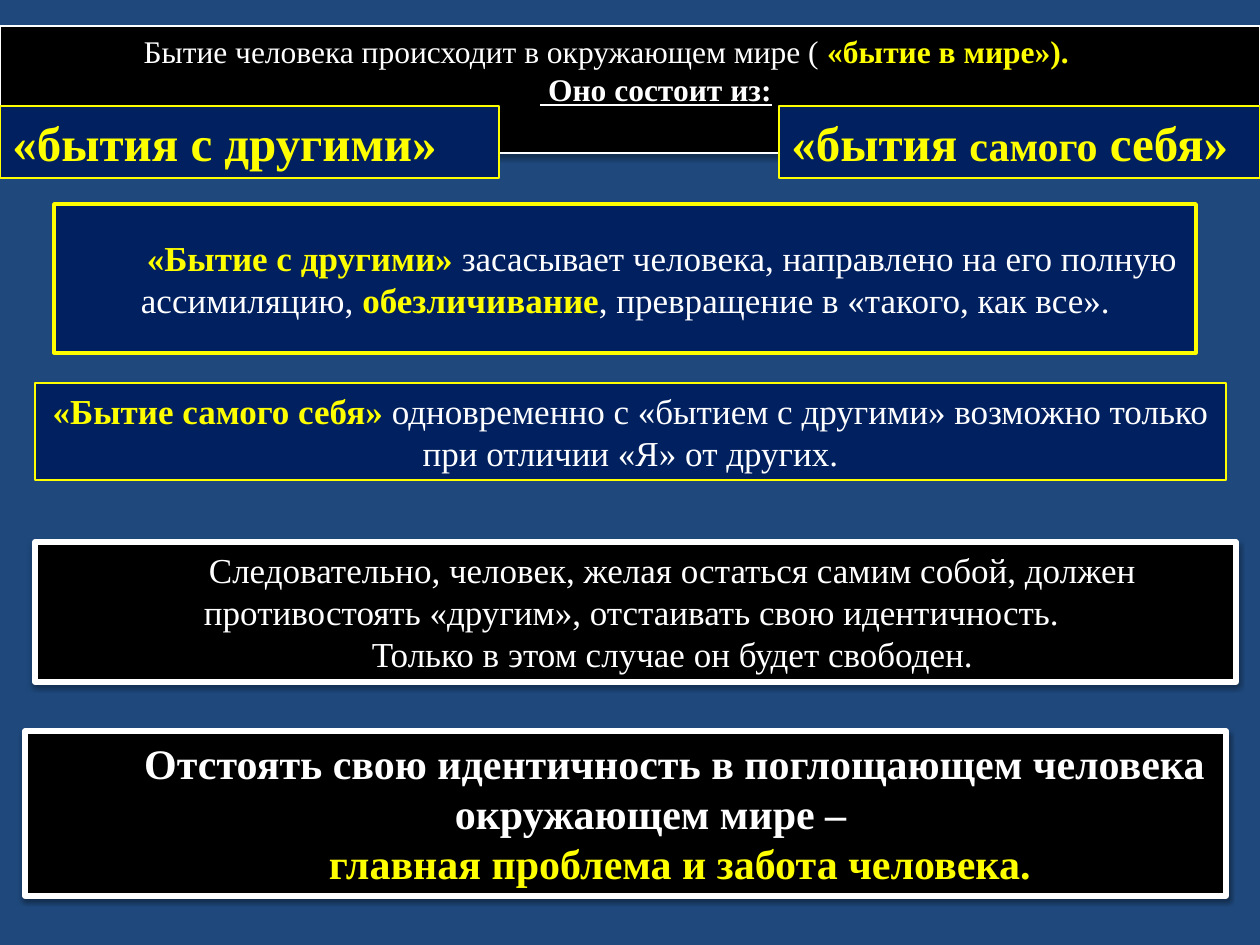
"""Build a slide about being in the world, with others and as oneself."""
from lxml import etree
from pptx import Presentation
from pptx.dml.color import RGBColor
from pptx.enum.shapes import MSO_SHAPE
from pptx.enum.text import MSO_ANCHOR, MSO_AUTO_SIZE, PP_ALIGN
from pptx.oxml.ns import qn
from pptx.util import Emu, Pt

RECTANGLE = MSO_SHAPE.RECTANGLE
TOP, MIDDLE = MSO_ANCHOR.TOP, MSO_ANCHOR.MIDDLE
LEFT, CENTER, JUSTIFY = PP_ALIGN.LEFT, PP_ALIGN.CENTER, PP_ALIGN.JUSTIFY
NO_FIT = MSO_AUTO_SIZE.NONE

EMU_PER_PX = 914400 / 126
WIDTH, HEIGHT = 1260, 945

THEME = {
    "font": "Times New Roman",
    "background": "1F497D", "black": "000000", "navy": "002060",
    "white": "FFFFFF", "yellow": "FFFF00",
    "lead": 18, "body": 20, "accent": 24, "heading": 28,
}

PLAIN = {"color": "white"}
STRONG = {"color": "white", "bold": True}
KEY = {"color": "yellow", "bold": True}
UNDERLINED = {**STRONG, "underline": True}

TITLE = {
    "box": (0, 26, 1260, 127), "fill": "black", "line": ("white", 0.75),
    "size": "lead", "shadow": (35, 3.1, 1.8),
    "paragraphs": [
        (JUSTIFY, 14, 117, [("Бытие человека происходит в окружающем мире ( ", PLAIN),
                            ("«бытие в мире»).", KEY)]),
        (CENTER, 14, 38, [(" Оно состоит из:", UNDERLINED)]),
    ],
}

BOXES = [
    {"box": (0, 106, 499, 72), "fill": "navy", "line": ("yellow", 0.75), "size": "heading",
     "paragraphs": [(LEFT, 0, 0, [("«бытия с другими»", KEY)])]},
    {"box": (779, 106, 481, 72), "fill": "navy", "line": ("yellow", 0.75), "size": "heading",
     "paragraphs": [(LEFT, 0, 0, [("«бытия ", KEY), ("самого", {**KEY, "size": "accent"}),
                                  (" себя»", KEY)])]},
    {"box": (54, 204, 1142, 149), "fill": "navy", "line": ("yellow", 2), "size": "body",
     "anchor": MIDDLE, "space_before": 4,
     "paragraphs": [(CENTER, 1, 73, [
         ("«Бытие с другими» ", KEY),
         ("засасывает человека, направлено на его полную ассимиляцию, ", PLAIN),
         ("обезличивание", KEY),
         (", превращение в «такого, как все».", PLAIN)])]},
    {"box": (35, 383, 1191, 97), "fill": "navy", "line": ("yellow", 0.75), "size": "body",
     "paragraphs": [(CENTER, 0, 0, [
         ("«Бытие самого себя» ", KEY),
         ("одновременно с «бытием с другими» возможно только "
          "при отличии «Я» от других.", PLAIN)])]},
    {"box": (35, 542, 1201, 140), "fill": "black", "line": ("white", 3), "size": "body",
     "shadow": (38, 3.1, 1.6),
     "paragraphs": [
         (CENTER, 1, 73, [("Следовательно, человек, желая остаться самим собой, должен "
                           "противостоять «другим», отстаивать свою идентичность. ", PLAIN)]),
         (CENTER, 1, 73, [("Только в этом случае он будет свободен.", PLAIN)])]},
    {"box": (25, 731, 1201, 165), "fill": "black", "line": ("white", 3), "size": "accent",
     "shadow": (38, 3.1, 1.6),
     "paragraphs": [
         (CENTER, 50, 48, [("Отстоять свою идентичность в поглощающем человека "
                            "окружающем мире –", STRONG)]),
         (CENTER, 50, 48, [(" главная проблема и забота человека.", KEY)])]},
]


def px(value):
    return Emu(round(value * EMU_PER_PX))


def color(name):
    return RGBColor.from_string(THEME[name])


def add_shadow(shape, opacity, blur, distance):
    effects = shape._element.spPr.find(qn("a:effectLst"))
    shadow = etree.SubElement(effects, qn("a:outerShdw"), blurRad=str(Pt(blur)),
                              dist=str(Pt(distance)), dir="5400000", rotWithShape="0")
    tint = etree.SubElement(shadow, qn("a:srgbClr"), val=THEME["black"])
    etree.SubElement(tint, qn("a:alpha"), val=str(opacity * 1000))


def add_run(paragraph, text, style, size):
    run = paragraph.add_run()
    run.text = text
    font = run.font
    font.name = THEME["font"]
    font.size = Pt(THEME[style.get("size", size)])
    font.color.rgb = color(style["color"])
    font.bold = style.get("bold", False)
    font.underline = style.get("underline", False)


def write_text(frame, content):
    frame.word_wrap = True
    frame.auto_size = NO_FIT
    frame.vertical_anchor = content.get("anchor", TOP)
    for index, (alignment, margin, indent, runs) in enumerate(content["paragraphs"]):
        paragraph = frame.add_paragraph() if index else frame.paragraphs[0]
        paragraph.alignment = alignment
        paragraph.space_before = Pt(content.get("space_before", 0))
        properties = paragraph._p.get_or_add_pPr()
        properties.set("marL", str(px(margin)))
        properties.set("indent", str(px(indent)))
        for text, style in runs:
            add_run(paragraph, text, style, content["size"])


def format_box(shape, content):
    shape.left, shape.top, shape.width, shape.height = map(px, content["box"])
    shape.fill.solid()
    shape.fill.fore_color.rgb = color(content["fill"])
    line_color, line_width = content["line"]
    shape.line.color.rgb = color(line_color)
    shape.line.width = Pt(line_width)
    shape.shadow.inherit = False
    if "shadow" in content:
        add_shadow(shape, *content["shadow"])
    write_text(shape.text_frame, content)


def main():
    presentation = Presentation()
    presentation.slide_width, presentation.slide_height = px(WIDTH), px(HEIGHT)
    slide = presentation.slides.add_slide(presentation.slide_layouts[5])
    slide.background.fill.solid()
    slide.background.fill.fore_color.rgb = color("background")
    format_box(slide.shapes.title, TITLE)
    for content in BOXES:
        shape = slide.shapes.add_shape(RECTANGLE, *map(px, content["box"]))
        format_box(shape, content)
    presentation.save("out.pptx")


if __name__ == "__main__":
    main()
